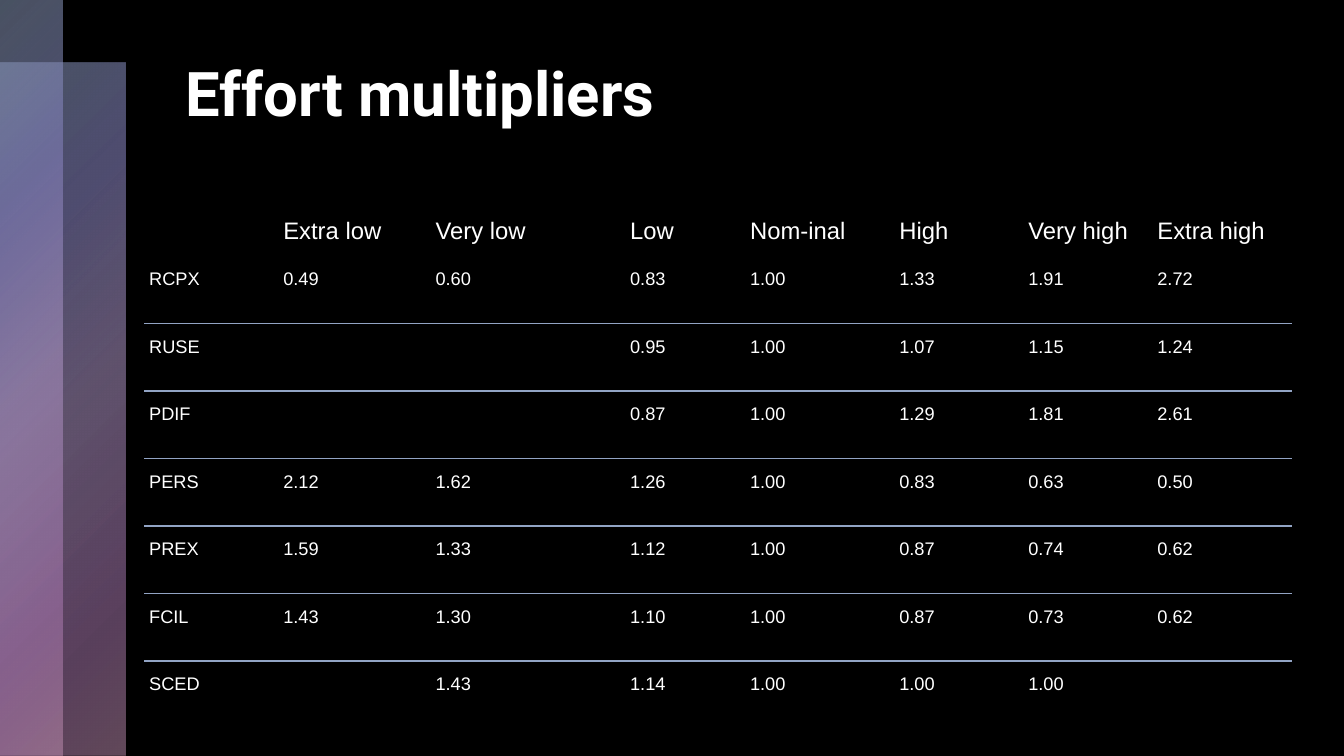
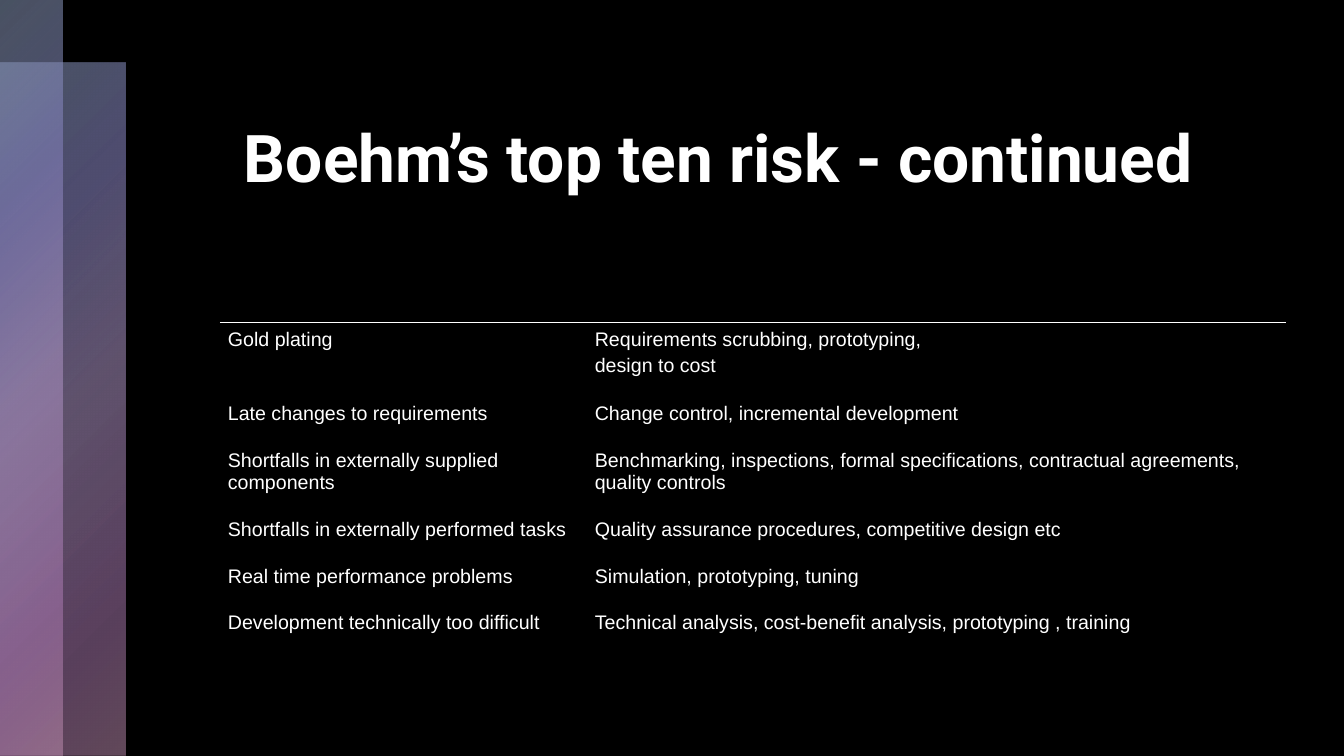
from dataclasses import dataclass

from pptx import Presentation
from pptx.dml.color import RGBColor
from pptx.enum.shapes import MSO_SHAPE
from pptx.enum.text import MSO_ANCHOR, PP_ALIGN
from pptx.oxml import parse_xml
from pptx.oxml.ns import nsdecls, qn
from pptx.util import Emu, Pt

RECT = MSO_SHAPE.RECTANGLE
TOP, MIDDLE, BOTTOM = MSO_ANCHOR.TOP, MSO_ANCHOR.MIDDLE, MSO_ANCHOR.BOTTOM
LEFT, CENTER = PP_ALIGN.LEFT, PP_ALIGN.CENTER
PX = 9144  # EMU per px, 100 px to the inch
WIDTH, HEIGHT = 1333, 750
NO_GRID_STYLE = "{2D5ABB26-0587-4C30-8999-92F81FD0307C}"


@dataclass(frozen=True)
class Theme:
    back: str = "000000"
    text: str = "FFFFFF"
    rule: str = "92A4C4"
    title_font: str = "Roboto"
    body_font: str = "Arial"
    title_size: int = 44
    wide_title_size: int = 47
    head_size: int = 17
    value_size: int = 13
    body_size: int = 14
    # position %, colour, opacity %
    stops: tuple = ((0, "92A4C4", 50), (25, "827FBA", 60), (50, "AD96C6", 55),
                    (81, "B37FBA", 50), (100, "C593B5", 50))


T = Theme()


@dataclass(frozen=True)
class Box:
    x: int
    y: int
    w: int
    h: int

    def emu(self) -> tuple:
        return tuple(Emu(v * PX) for v in (self.x, self.y, self.w, self.h))


@dataclass(frozen=True)
class Title:
    text: str
    box: Box
    size: int
    anchor: MSO_ANCHOR = TOP
    align: PP_ALIGN = LEFT
    spacing: float = 1.0


@dataclass(frozen=True)
class Grid:
    x: int
    y: int
    cols: tuple
    heights: tuple
    insets: tuple  # left, top, right, bottom
    rows: tuple
    size: int
    ruled: tuple  # rows with a line above
    rule: str
    header: bool = False


BANDS = (Box(0, 62, 124, 688), Box(0, 0, 62, 750))

EFFORT_TITLE = Title("Effort multipliers", Box(174, 50, 1037, 170), T.title_size)
EFFORT = Grid(
    143, 138, (133, 151, 193, 119, 148, 128, 128, 139), (116,) + (67,) * 7,
    (5, 13, 5, 11),
    (
        ("", "Extra low", "Very low", "Low", "Nom-inal", "High", "Very high", "Extra high"),
        ("RCPX", "0.49", "0.60", "0.83", "1.00", "1.33", "1.91", "2.72"),
        ("RUSE", "", "", "0.95", "1.00", "1.07", "1.15", "1.24"),
        ("PDIF", "", "", "0.87", "1.00", "1.29", "1.81", "2.61"),
        ("PERS", "2.12", "1.62", "1.26", "1.00", "0.83", "0.63", "0.50"),
        ("PREX", "1.59", "1.33", "1.12", "1.00", "0.87", "0.74", "0.62"),
        ("FCIL", "1.43", "1.30", "1.10", "1.00", "0.87", "0.73", "0.62"),
        ("SCED", "", "1.43", "1.14", "1.00", "1.00", "1.00", ""),
    ),
    T.value_size, (2, 4, 6), T.rule, header=True)

RISK_TITLE = Title("Boehm’s top ten risk - continued", Box(184, 98, 1058, 124),
                   T.wide_title_size, MIDDLE, CENTER, 0.9)
RISKS = Grid(
    218, 320, (364, 694), (74, 46, 69, 46, 46, 46), (8, 6, 6, 12),
    (
        ("Gold plating", "Requirements scrubbing, prototyping,\ndesign to cost"),
        ("Late changes to requirements", "Change control, incremental development"),
        ("Shortfalls in externally supplied components",
         "Benchmarking, inspections, formal specifications, contractual agreements, "
         "quality controls"),
        ("Shortfalls in externally performed tasks",
         "Quality assurance procedures, competitive design etc"),
        ("Real time performance problems", "Simulation, prototyping, tuning"),
        ("Development technically too difficult",
         "Technical analysis, cost-benefit analysis, prototyping , training"),
    ),
    T.body_size, (0,), T.text)


def apply(target, fmt: dict) -> None:
    for name, value in fmt.items():
        setattr(target, name, value)


def write(tf, text: str, font: dict, para: dict) -> None:
    """Fill a text frame, one paragraph per line of text."""
    for i, line in enumerate(text.split("\n")):
        p = tf.add_paragraph() if i else tf.paragraphs[0]
        apply(p, para)
        if i:
            p.space_before = Pt(round(font["size"].pt * 0.2, 1))
        r = p.add_run()
        r.text = line
        apply(r.font, font)
        r.font.color.rgb = RGBColor.from_string(T.text)


def add_band(slide, box: Box) -> None:
    s = slide.shapes.add_shape(RECT, *box.emu())
    s.shadow.inherit = False
    s.line.fill.background()
    s.fill.background()
    stops = "".join(
        f'<a:gs pos="{pos * 1000}"><a:srgbClr val="{color}">'
        f'<a:alpha val="{alpha * 1000}"/></a:srgbClr></a:gs>'
        for pos, color, alpha in T.stops)
    grad = parse_xml(
        f'<a:gradFill {nsdecls("a")} rotWithShape="1"><a:gsLst>{stops}</a:gsLst>'
        '<a:path path="circle"><a:fillToRect r="100000" b="100000"/></a:path></a:gradFill>')
    props = s._element.spPr
    props.replace(props.find(qn("a:noFill")), grad)


def add_title(slide, title: Title) -> None:
    tf = slide.shapes.add_textbox(*title.box.emu()).text_frame
    apply(tf, {"word_wrap": True, "vertical_anchor": title.anchor})
    write(tf, title.text,
          {"name": T.title_font, "size": Pt(title.size), "bold": True},
          {"alignment": title.align, "line_spacing": title.spacing})


def add_rule(cell, side: str, color: str) -> None:
    line = parse_xml(
        f'<a:{side} {nsdecls("a")} w="{Pt(1)}"><a:solidFill>'
        f'<a:srgbClr val="{color}"/></a:solidFill></a:{side}>')
    cell._tc.get_or_add_tcPr().insert(0, line)


def add_grid(slide, grid: Grid) -> None:
    box = Box(grid.x, grid.y, sum(grid.cols), sum(grid.heights))
    frame = slide.shapes.add_table(len(grid.rows), len(grid.cols), *box.emu())
    table = frame.table
    apply(table, {"first_row": False, "horz_banding": False})
    table._tbl.tblPr.find(qn("a:tableStyleId")).text = NO_GRID_STYLE
    for col, width in zip(table.columns, grid.cols):
        col.width = Emu(width * PX)
    for row, height in zip(table.rows, grid.heights):
        row.height = Emu(height * PX)

    sides = ("margin_left", "margin_top", "margin_right", "margin_bottom")
    margins = {side: Emu(v * PX) for side, v in zip(sides, grid.insets)}
    for r, texts in enumerate(grid.rows):
        head = grid.header and r == 0
        size = T.head_size if head else grid.size
        for c, text in enumerate(texts):
            cell = table.cell(r, c)
            apply(cell, {**margins, "vertical_anchor": BOTTOM if head else TOP})
            cell.fill.solid()
            cell.fill.fore_color.rgb = RGBColor.from_string(T.back)
            if text:
                write(cell.text_frame, text,
                      {"name": T.body_font, "size": Pt(size)}, {"alignment": LEFT})
            # a rule belongs to both cells it separates
            if r in grid.ruled:
                add_rule(cell, "lnT", grid.rule)
            if r + 1 in grid.ruled:
                add_rule(cell, "lnB", grid.rule)


def add_slide(prs, title: Title, grid: Grid) -> None:
    slide = prs.slides.add_slide(prs.slide_layouts[6])
    fill = slide.background.fill
    fill.solid()
    fill.fore_color.rgb = RGBColor.from_string(T.back)
    for band in BANDS:
        add_band(slide, band)
    add_title(slide, title)
    add_grid(slide, grid)


def main() -> None:
    prs = Presentation()
    apply(prs, {"slide_width": Emu(WIDTH * PX), "slide_height": Emu(HEIGHT * PX)})
    add_slide(prs, EFFORT_TITLE, EFFORT)
    add_slide(prs, RISK_TITLE, RISKS)
    prs.save("out.pptx")


if __name__ == "__main__":
    main()
